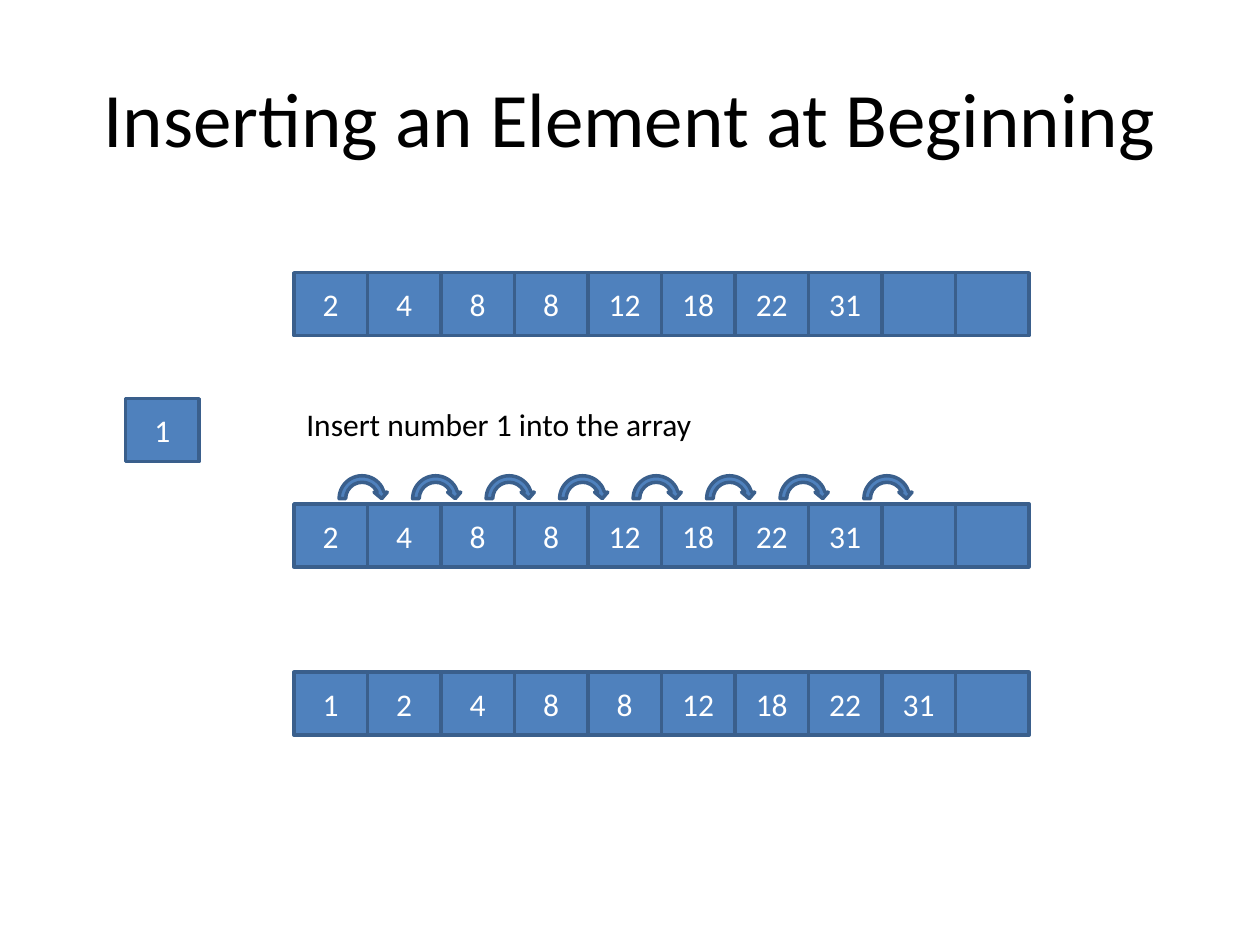
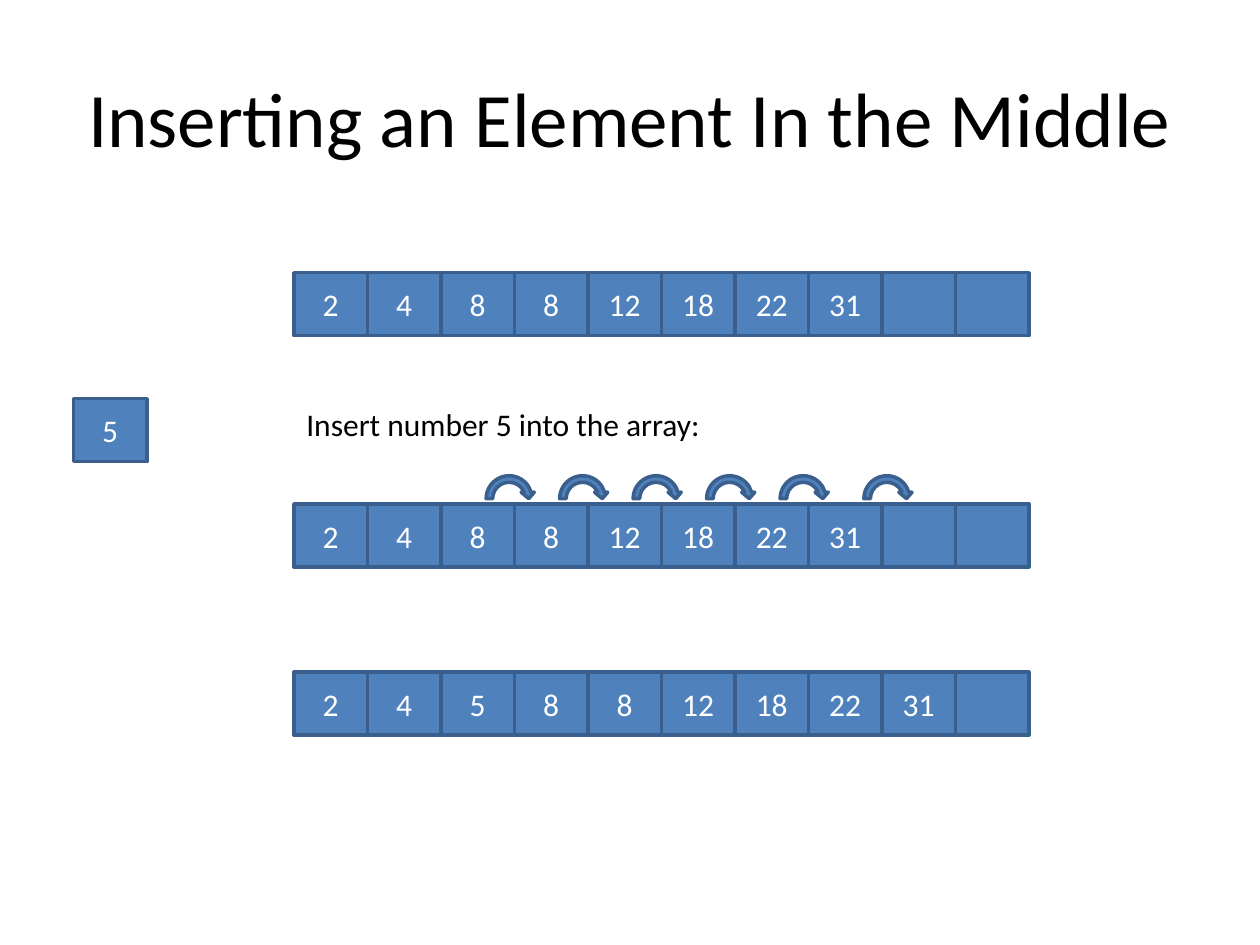
import pptx
import pptx.dml.color
import pptx.enum.shapes
import pptx.enum.text
import pptx.util

MSO = pptx.enum.shapes.MSO_SHAPE
ALIGN = pptx.enum.text.PP_ALIGN
ANCHOR = pptx.enum.text.MSO_ANCHOR
FIT = pptx.enum.text.MSO_AUTO_SIZE
rgb = pptx.dml.color.RGBColor.from_string
Pt = pptx.util.Pt

# Theme: colours, font and type sizes
theme = {
    "fill": rgb("4F81BD"),
    "line": rgb("3A5F8C"),
    "line_width": Pt(2),
    "title": {"name": "Calibri", "size": Pt(44), "color": rgb("000000")},
    "caption": {"name": "Calibri", "size": Pt(18), "color": rgb("000000")},
    "cell": {"name": "Calibri", "size": Pt(18), "color": rgb("FFFFFF")},
}

prs = pptx.Presentation()
prs.slide_width = pptx.util.Inches(10)
prs.slide_height = pptx.util.Inches(7.5)

# Grid: one column and one row are the size of an array cell
COL = prs.slide_width * 7 // 120
ROW = prs.slide_height // 15
ARRAY_COL, ARRAY_LEN = 4, 10
BEFORE_ROW, CAPTION_ROW, ARROW_ROW, SHIFT_ROW, AFTER_ROW = 4.33, 6.33, 7.5, 8, 10.67
ARROW_SIZE = prs.slide_width // 24
ARROW_OFFSET, LAST_ARROW_NUDGE = 0.57, 0.14


def write(sp, text, style, align, anchor, **frame):
    tf = sp.text_frame
    for key, value in {"word_wrap": True, "vertical_anchor": anchor, **frame}.items():
        setattr(tf, key, value)
    p = tf.paragraphs[0]
    p.alignment = align
    r = p.add_run()
    r.text = text
    for key, value in theme[style].items():
        if key == "color":
            r.font.color.rgb = value
        else:
            setattr(r.font, key, value)


def add_block(shapes, kind, col, row, width=COL, height=ROW, text=""):
    sp = shapes.add_shape(kind, int(col * COL), int(row * ROW), width, height)
    sp.shadow.inherit = False
    sp.fill.solid()
    sp.fill.fore_color.rgb = theme["fill"]
    sp.line.color.rgb = theme["line"]
    sp.line.width = theme["line_width"]
    if text:
        write(sp, text, "cell", ALIGN.CENTER, ANCHOR.MIDDLE)


numbers = [2, 4, 8, 8, 12, 18, 22, 31]

# Title, caption, number to insert, its index, column of its loose cell
insertions = [
    ("Inserting an Element at Beginning", "Insert number 1 into the array", 1, 0, 1.71),
    ("Inserting an Element In the Middle", "Insert number 5 into the array:", 5, 2, 1),
]

for title, caption, number, index, loose_col in insertions:
    s = prs.slides.add_slide(prs.slide_layouts[6])

    # Title
    sp = s.shapes.add_textbox(int(prs.slide_width * 0.05), int(prs.slide_height * 0.04),
                              int(prs.slide_width * 0.9), int(ROW * 2.5))
    write(sp, title, "title", ALIGN.CENTER, ANCHOR.MIDDLE)

    # Arrays before, during and after the shift
    result = numbers[:index] + [number] + numbers[index:]
    for row, values in ((BEFORE_ROW, numbers), (SHIFT_ROW, numbers), (AFTER_ROW, result)):
        array = s.shapes.add_group_shape()
        for i in range(ARRAY_LEN):
            text = str(values[i]) if i < len(values) else ""
            add_block(array.shapes, MSO.RECTANGLE, ARRAY_COL + i, row, text=text)

    # One arrow over each element that moves right
    for i in range(index, len(numbers)):
        nudge = LAST_ARROW_NUDGE if i == len(numbers) - 1 else 0
        add_block(s.shapes, MSO.CIRCULAR_ARROW, ARRAY_COL + i + ARROW_OFFSET + nudge,
                  ARROW_ROW, ARROW_SIZE, ARROW_SIZE)

    # Caption and the number to insert
    sp = s.shapes.add_textbox(ARRAY_COL * COL, int(CAPTION_ROW * ROW),
                              int(COL * 5.8), int(ROW * 0.8))
    write(sp, caption, "caption", ALIGN.LEFT, ANCHOR.TOP,
          word_wrap=False, auto_size=FIT.SHAPE_TO_FIT_TEXT)
    add_block(s.shapes, MSO.RECTANGLE, loose_col, CAPTION_ROW, text=str(number))

prs.save("out.pptx")
